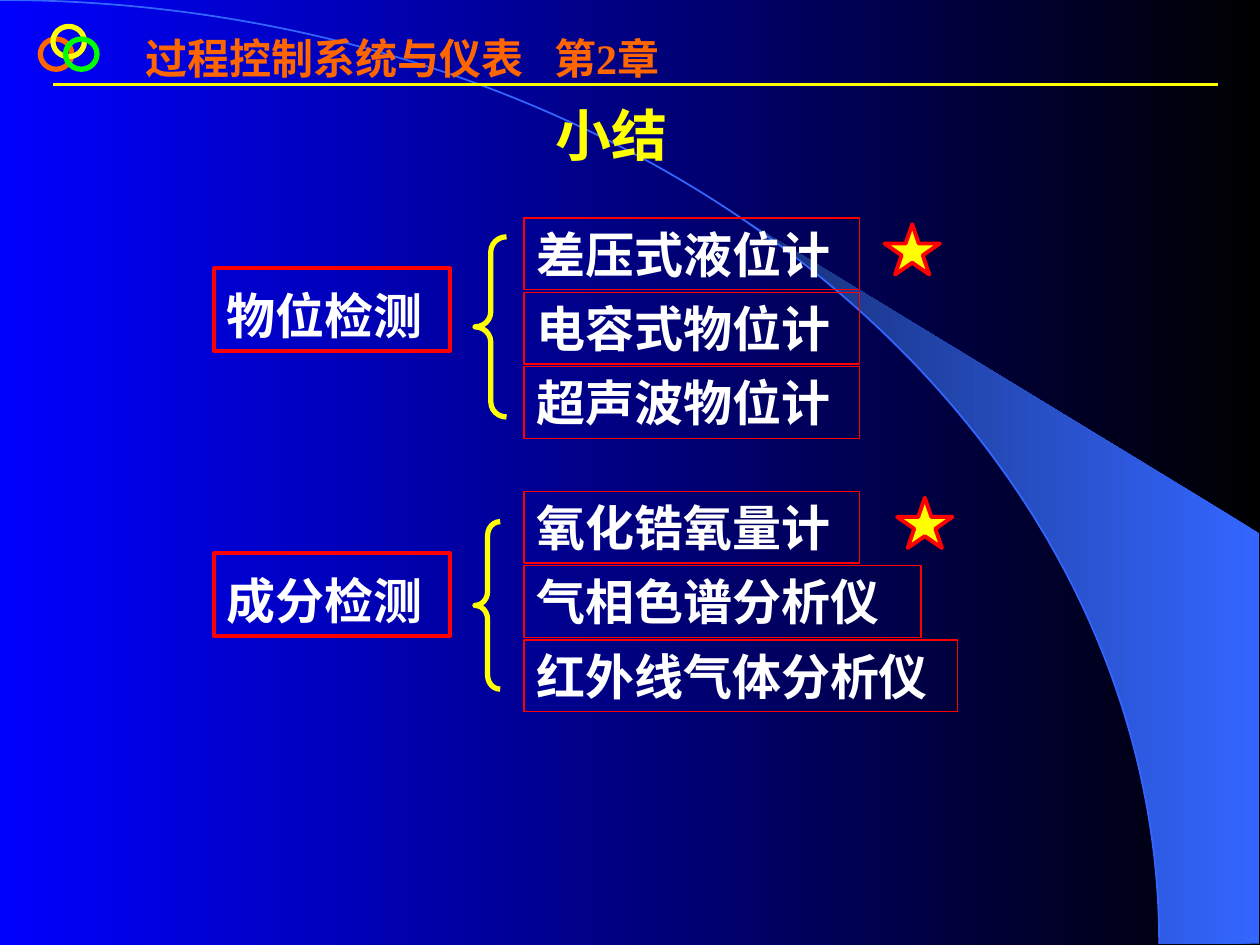
import math
from dataclasses import dataclass

import pptx
import pptx.util
import pptx.dml.color
import pptx.enum.shapes
import pptx.enum.text
import pptx.oxml
import pptx.oxml.ns

Inches = pptx.util.Inches
Shapes = pptx.enum.shapes.MSO_SHAPE


@dataclass(frozen=True)
class Theme:
    font: str = "Times New Roman"
    black: str = "000000"
    blue: str = "0000FF"
    beam: str = "3366FF"
    beam_dark: str = "172F75"
    orange: str = "FF6600"
    yellow: str = "FFFF00"
    green: str = "00FF00"
    red: str = "FF0000"
    white: str = "FFFFFF"
    header_size: int = 24
    title_size: int = 32
    body_size: int = 28


class SlideBuilder:
    def __init__(self, slide, theme):
        self.slide = slide
        self.theme = theme

    def color(self, value):
        return pptx.dml.color.RGBColor.from_string(value)

    def gradient(self, fill, first, last):
        fill.gradient()
        fill.gradient_angle = 180
        for stop, value in zip(fill.gradient_stops, (first, last)):
            stop.color.rgb = self.color(value)

    def shape(self, kind, left, top, width, height, line, weight, fill=None):
        shape = self.slide.shapes.add_shape(
            kind, Inches(left), Inches(top), Inches(width), Inches(height))
        shape.shadow.inherit = False
        if fill:
            shape.fill.solid()
            shape.fill.fore_color.rgb = self.color(fill)
        else:
            shape.fill.background()
        shape.line.color.rgb = self.color(line)
        shape.line.width = pptx.util.Pt(weight)
        return shape

    def set_text(self, shape, text, size, color, top_inset=0.05, tab=None):
        frame = shape.text_frame
        frame.word_wrap = True
        frame.vertical_anchor = pptx.enum.text.MSO_ANCHOR.TOP
        frame.margin_left = frame.margin_right = Inches(0.1)
        frame.margin_top = Inches(top_inset)
        frame.margin_bottom = Inches(0.05)
        frame.text = text
        paragraph = frame.paragraphs[0]
        paragraph.alignment = pptx.enum.text.PP_ALIGN.LEFT
        if tab:
            namespace = pptx.oxml.ns.nsdecls("a")
            paragraph._p.get_or_add_pPr().append(pptx.oxml.parse_xml(
                f'<a:tabLst {namespace}><a:tab pos="{Inches(tab)}" algn="l"/></a:tabLst>'))
        for run in paragraph.runs:
            run.font.name = self.theme.font
            run.font.size = pptx.util.Pt(size)
            run.font.bold = True
            run.font.color.rgb = self.color(color)

    def text(self, left, top, width, height, text, size, color, tab=None):
        box = self.slide.shapes.add_textbox(
            Inches(left), Inches(top), Inches(width), Inches(height))
        self.set_text(box, text, size, color, tab=tab)

    def label(self, left, top, width, height, text, weight, top_inset=0.05):
        box = self.shape(Shapes.RECTANGLE, left, top, width, height, self.theme.red, weight)
        self.set_text(box, text, self.theme.body_size, self.theme.white, top_inset)

    def brace(self, left, top, width, height, curve):
        brace = self.shape(Shapes.LEFT_BRACE, left, top, width, height, self.theme.yellow, 3)
        brace.adjustments[0] = curve / width

    def star(self, left, top):
        self.shape(Shapes.STAR_5_POINT, left, top, 0.44, 0.4,
                   self.theme.red, 2.25, self.theme.yellow)

    def rule(self, left, right, y):
        line = self.slide.shapes.add_connector(
            pptx.enum.shapes.MSO_CONNECTOR.STRAIGHT,
            Inches(left), Inches(y), Inches(right), Inches(y))
        line.line.color.rgb = self.color(self.theme.yellow)
        line.line.width = pptx.util.Pt(1.5)
        line._element.spPr.append(pptx.oxml.parse_xml(
            f'<a:effectLst {pptx.oxml.ns.nsdecls("a")}/>'))

    def beam(self, radius_x, radius_y):
        start = math.asin(0.64)
        steps = 24
        angles = [start + (math.pi / 2 - start) * step / steps for step in range(steps + 1)]
        curve = [(radius_x * math.sin(angle), radius_y * (1 - math.cos(angle)))
                 for angle in angles]
        points = [(Inches(x), Inches(y)) for x, y in curve + [(9.99, 7.49), (9.99, 4.23)]]
        builder = self.slide.shapes.build_freeform(*points[0])
        builder.add_line_segments(points[1:], close=True)
        wedge = builder.convert_to_shape()
        wedge.shadow.inherit = False
        wedge.line.fill.background()
        self.gradient(wedge.fill, self.theme.beam, self.theme.beam_dark)
        self.shape(Shapes.ARC, -radius_x, 0, 2 * radius_x, 2 * radius_y, self.theme.beam, 1)

    def branch(self, category, category_top, rows, rows_top, brace):
        for index, (text, width) in enumerate(rows):
            self.label(4.16, rows_top + 0.59 * index, width, 0.57, text, 0.75)
        self.brace(*brace)
        self.label(1.7, category_top, 1.87, 0.66, category, 2.25, top_inset=0.14)


def main():
    presentation = pptx.Presentation()
    presentation.slide_width = Inches(10)
    presentation.slide_height = Inches(7.5)
    slide = presentation.slides.add_slide(presentation.slide_layouts[6])
    theme = Theme()
    builder = SlideBuilder(slide, theme)

    builder.gradient(slide.background.fill, theme.black, theme.blue)
    builder.beam(9.2, 7.49)
    builder.rule(0.42, 9.67, 0.67)
    builder.text(1.06, 0.21, 4.49, 0.9, "过程控制系统与仪表\t第2章",
                 theme.header_size, theme.orange, tab=3.24)
    rings = [(0.32, 0.31, theme.orange), (0.42, 0.21, theme.yellow), (0.52, 0.31, theme.green)]
    for left, top, color in rings:
        builder.shape(Shapes.OVAL, left, top, 0.25, 0.24, color, 3)

    builder.text(4.31, 0.75, 1.43, 0.64, "小结", theme.title_size, theme.yellow)
    builder.branch("物位检测", 2.13,
                   [("差压式液位计", 2.66), ("电容式物位计", 2.66), ("超声波物位计", 2.66)],
                   1.73, (3.77, 1.88, 0.25, 1.43, 0.12))
    builder.branch("成分检测", 4.39,
                   [("氧化锆氧量计", 2.66), ("气相色谱分析仪", 3.15), ("红外线气体分析仪", 3.44)],
                   3.9, (3.77, 4.14, 0.2, 1.33, 0.11))
    builder.star(7.02, 1.78)
    builder.star(7.12, 3.95)

    presentation.save("out.pptx")


if __name__ == "__main__":
    main()
